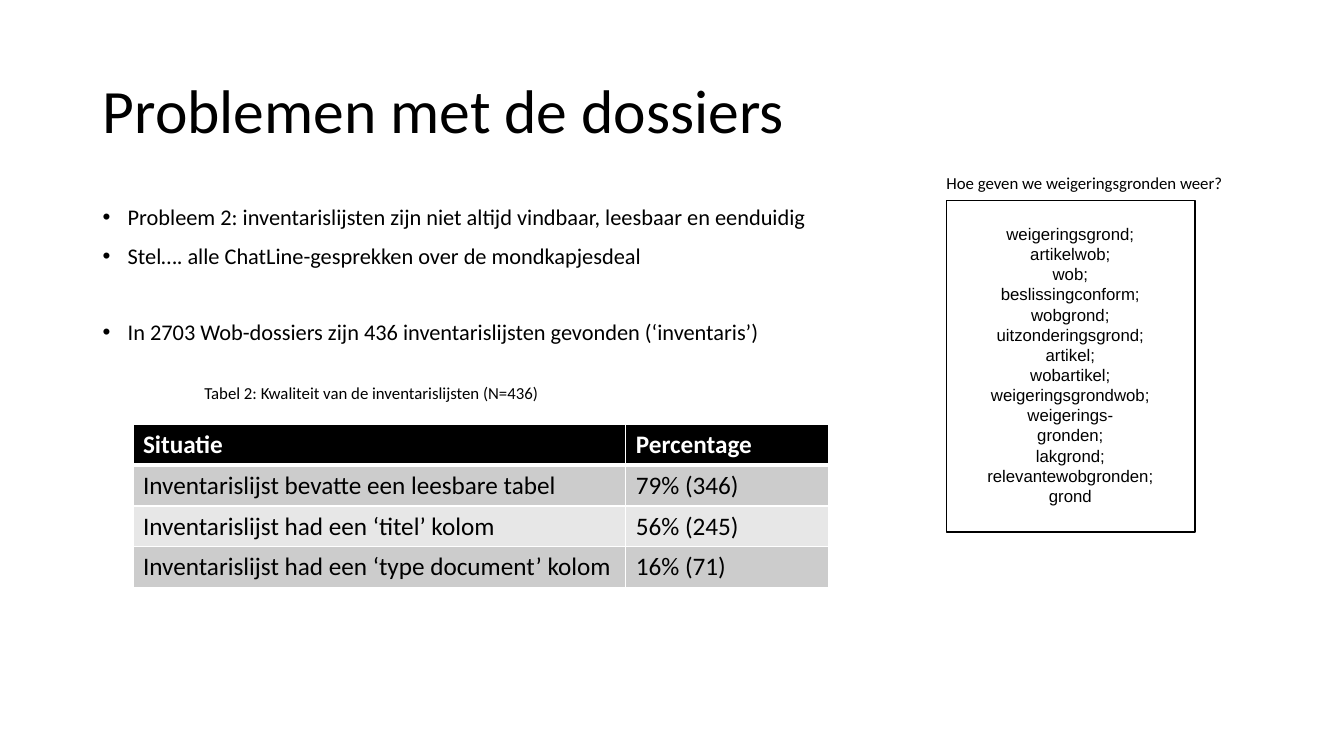
from pptx import Presentation
from pptx.dml.color import RGBColor as Rgb
from pptx.enum.shapes import MSO_SHAPE as Shape
from pptx.enum.text import MSO_ANCHOR as Anchor, PP_ALIGN as Align
from pptx.oxml.ns import qn
from pptx.util import Cm, Pt
from lxml.etree import SubElement as Sub

HUES = {"ink": "000000", "paper": "FFFFFF", "dark": "CCCCCC", "light": "E7E7E7"}


def tint(name):
    return Rgb.from_string(HUES[name])


def write(frame, lines, size=12, face="Calibri", hue="ink", bold=False,
          align=Align.LEFT, lead=None, gaps=None, dots=False):
    for i, line in enumerate(lines):
        para = frame.paragraphs[0] if i == 0 else frame.add_paragraph()
        para.text = line
        para.alignment = align
        if lead:
            para.line_spacing = lead
        if gaps:
            para.space_before = Pt(gaps[i])
        if dots:
            props = para._p.get_or_add_pPr()
            props.set("marL", str(Cm(0.63)))
            props.set("indent", str(-Cm(0.63)))
            Sub(props, qn("a:buFont")).set("typeface", "Arial")
            Sub(props, qn("a:buChar")).set("char", "•")
        for run in para.runs:
            font = run.font
            font.size, font.name, font.bold = Pt(size), face, bold
            font.color.rgb = tint(hue)


class Deck:
    def __init__(self, wide, high):
        self.show = Presentation()
        self.show.slide_width, self.show.slide_height = Cm(wide), Cm(high)
        self.slide = self.show.slides.add_slide(self.show.slide_layouts[6])

    def text(self, box, lines, wrap=True, anchor=Anchor.TOP, **style):
        frame = self.slide.shapes.add_textbox(*map(Cm, box)).text_frame
        frame.word_wrap = wrap
        frame.vertical_anchor = anchor
        write(frame, lines, **style)

    def frame(self, box):
        rect = self.slide.shapes.add_shape(Shape.RECTANGLE, *map(Cm, box))
        rect.shadow.inherit = False
        rect.fill.solid()
        rect.fill.fore_color.rgb = tint("paper")
        rect.line.color.rgb = tint("ink")
        rect.line.width = Pt(1)

    def edge(self, cell, side, width):
        line = Sub(cell._tc.get_or_add_tcPr(), qn("a:ln" + side))
        line.set("w", str(Pt(width)))
        fill = Sub(line, qn("a:solidFill"))
        Sub(fill, qn("a:srgbClr")).set("val", HUES["paper"])

    def table(self, left, top, cols, high, rows):
        grid = self.slide.shapes.add_table(
            len(rows), len(cols), Cm(left), Cm(top),
            Cm(sum(cols)), Cm(high * len(rows))).table
        for col, wide in zip(grid.columns, cols):
            col.width = Cm(wide)
        for r, row in enumerate(rows):
            grid.rows[r].height = Cm(high)
            head = r == 0
            back = "ink" if head else "dark" if r % 2 else "light"
            for c, words in enumerate(row):
                cell = grid.cell(r, c)
                write(cell.text_frame, [words], size=18, bold=head,
                      hue="paper" if head else "ink")
                for side in "LRTB":
                    thick = (r, side) in ((0, "B"), (1, "T"))
                    self.edge(cell, side, 3 if thick else 1)
                cell.fill.solid()
                cell.fill.fore_color.rgb = tint(back)

    def save(self):
        self.show.save("out.pptx")


def main():
    deck = Deck(33.87, 19.05)
    deck.frame((23.85, 5.05, 6.27, 8.36))
    deck.text((2.34, 1.02, 29.21, 3.68), ["Problemen met de dossiers"],
              size=44, lead=0.9, anchor=Anchor.MIDDLE)
    deck.text((2.34, 5.08, 29.21, 12.09), [
        "Probleem 2: inventarislijsten zijn niet altijd vindbaar, leesbaar en eenduidig",
        "Stel…. alle ChatLine-gesprekken over de mondkapjesdeal",
        "In 2703 Wob-dossiers zijn 436 inventarislijsten gevonden (‘inventaris’)",
    ], size=16, lead=0.9, gaps=(10, 10, 37.5), dots=True)
    deck.table(3.35, 10.69, (12.42, 5.11), 1.03, [
        ("Situatie", "Percentage"),
        ("Inventarislijst bevatte een leesbare tabel", "79% (346)"),
        ("Inventarislijst had een ‘titel’ kolom", "56% (245)"),
        ("Inventarislijst had een ‘type document’ kolom", "16% (71)"),
    ])
    deck.text((4.9, 9.53, 9.02, 0.76),
              ["Tabel 2: Kwaliteit van de inventarislijsten (N=436)"], wrap=False)
    deck.text((21.54, 5.51, 10.87, 7.44), [
        "weigeringsgrond;", "artikelwob;", "wob;", "beslissingconform;",
        "wobgrond;", "uitzonderingsgrond;", "artikel;\vwobartikel;",
        "weigeringsgrondwob;", "weigerings-\vgronden;", "lakgrond;",
        "relevantewobgronden;", "grond",
    ], face="Arial", align=Align.CENTER)
    deck.text((23.6, 4.24, 7.54, 0.76),
              ["Hoe geven we weigeringsgronden weer?"], wrap=False)
    deck.save()


if __name__ == "__main__":
    main()
